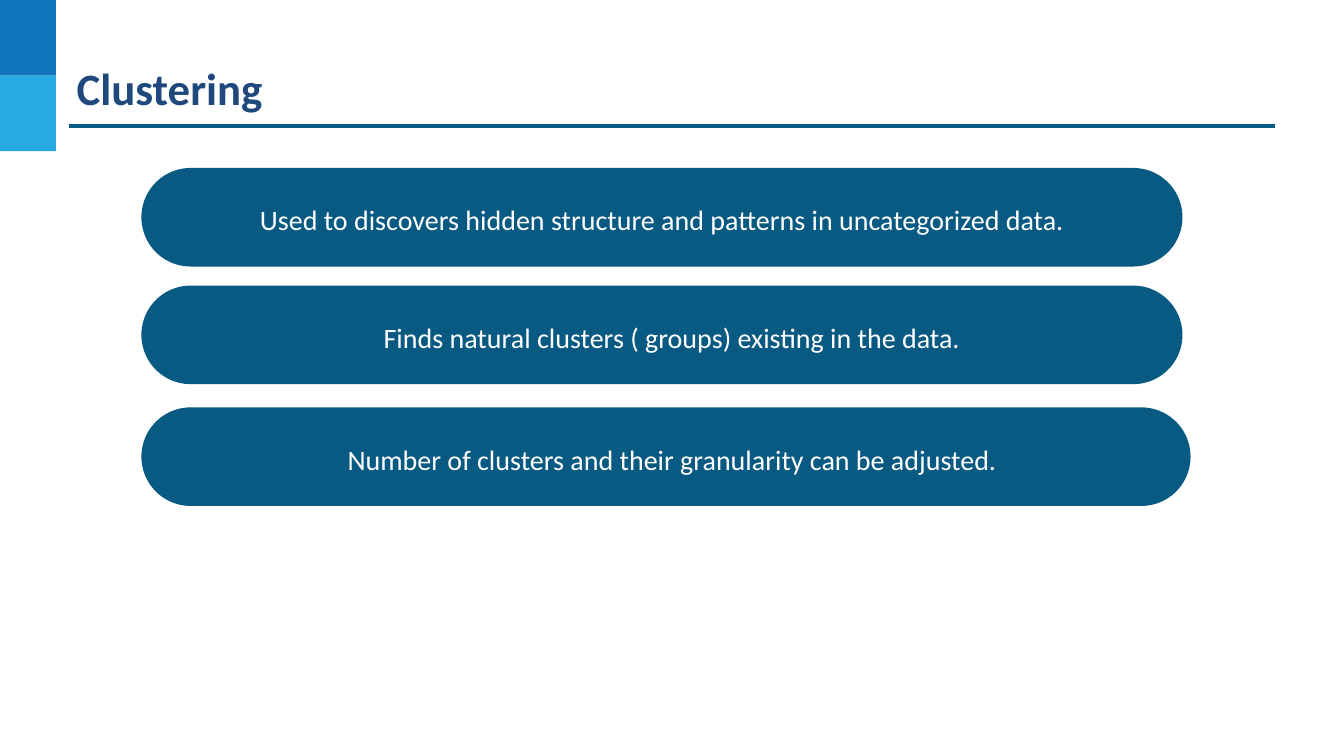
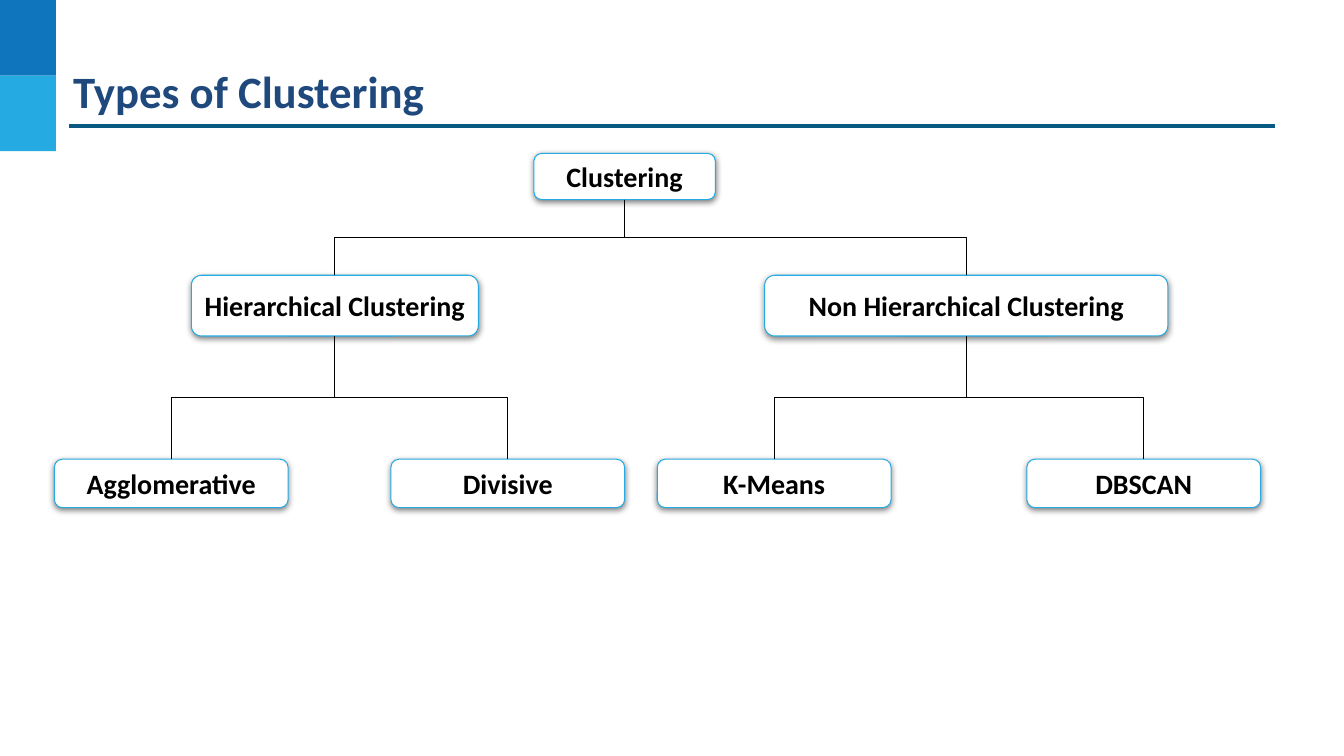
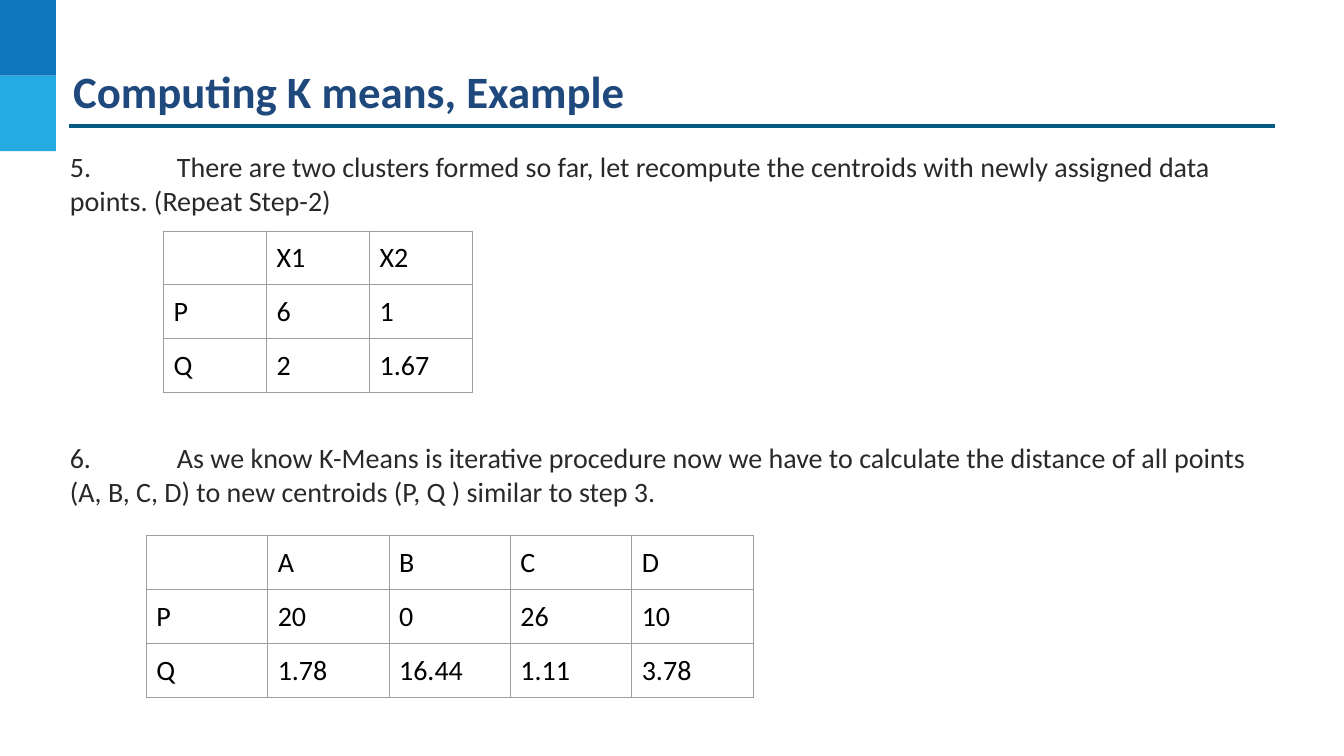
import dataclasses
from typing import Any

import lxml.etree
import pptx
import pptx.dml.color
import pptx.enum.shapes
import pptx.enum.text
import pptx.oxml
import pptx.oxml.ns
import pptx.util

Pt = pptx.util.Pt
RGB = pptx.dml.color.RGBColor.from_string
qn = pptx.oxml.ns.qn
Shapes = pptx.enum.shapes.MSO_SHAPE
Connectors = pptx.enum.shapes.MSO_CONNECTOR
Align = pptx.enum.text.PP_ALIGN
Anchor = pptx.enum.text.MSO_ANCHOR


@dataclasses.dataclass(frozen=True)
class Theme:
    font: str = "Calibri"
    title_size: float = 32
    body_size: float = 20
    title: str = "1F497D"
    band_dark: str = "0F75BD"
    band_light: str = "25AAE2"
    accent: str = "095A82"
    white: str = "FFFFFF"
    black: str = "000000"
    body: str = "292929"
    grid: str = "9E9E9E"


THEME = Theme()


@dataclasses.dataclass(frozen=True)
class Box:
    """A rectangle in points."""
    left: float
    top: float
    width: float
    height: float

    def lengths(self) -> tuple:
        return tuple(Pt(value) for value in dataclasses.astuple(self))


@dataclasses.dataclass(frozen=True)
class Pill:
    text: str
    top: float
    width: float = 743.6
    text_shift: float = 0


@dataclasses.dataclass(frozen=True)
class Node:
    text: str
    center: float
    top: float
    width: float
    height: float
    parent: str = ""


@dataclasses.dataclass(frozen=True)
class Step:
    text: str
    text_box: Box
    margin_top: float
    table_left: float
    table_top: float
    column_width: float
    rows: tuple


PILLS = (
    Pill("Used to discovers hidden structure and patterns in uncategorized data.", 120),
    Pill("Finds natural clusters ( groups) existing in the data.", 204, text_shift=7),
    Pill("Number of clusters and their granularity can be adjusted.", 291, 749.4, 4.4),
)

LEAF = {"top": 328, "width": 167, "height": 34.6}
BRANCH = {"top": 196.6, "height": 43.4, "parent": "Clustering"}
NODES = (
    Node("Clustering", 446.2, 109.6, 129.6, 33),
    Node("Hierarchical Clustering", 239.2, width=205, **BRANCH),
    Node("Non Hierarchical Clustering", 690.2, width=288, **BRANCH),
    Node("Agglomerative", 122.3, parent="Hierarchical Clustering", **LEAF),
    Node("Divisive", 362.7, parent="Hierarchical Clustering", **LEAF),
    Node("K-Means", 553, parent="Non Hierarchical Clustering", **LEAF),
    Node("DBSCAN", 817, parent="Non Hierarchical Clustering", **LEAF),
)

STEPS = (
    Step("5.\t There are two clusters formed so far, let recompute the centroids "
         "with newly assigned data points. (Repeat Step-2)",
         Box(42.8, 103.3, 866, 55.4), 3.6, 116.8, 165, 73.6,
         (("", "X1", "X2"), ("P", "6", "1"), ("Q", "2", "1.67"))),
    Step("6.\t As we know K-Means is iterative procedure now we have to calculate the "
         "distance of all points (A, B, C, D) to new centroids (P, Q ) similar to step 3.",
         Box(42.8, 307.4, 859, 63.4), 7.2, 104.5, 382.7, 86.7,
         (("", "A", "B", "C", "D"), ("P", "20", "0", "26", "10"),
          ("Q", "1.78", "16.44", "1.11", "3.78"))),
)


def set_all(target: Any, values: dict) -> None:
    for name, value in values.items():
        setattr(target, name, value)


def write(frame: Any, text: str, color: str, size: float = THEME.body_size,
          bold: bool = False, align: Any = Align.LEFT, tab: float = 0,
          **frame_format: Any) -> Any:
    """Fill a text frame with one formatted paragraph and return it."""
    set_all(frame, {"word_wrap": True, **frame_format})
    paragraph = frame.paragraphs[0]
    paragraph.text = text
    paragraph.alignment = align
    if tab:
        stops = lxml.etree.SubElement(paragraph._p.get_or_add_pPr(), qn("a:tabLst"))
        lxml.etree.SubElement(stops, qn("a:tab"), pos=str(Pt(tab)), algn="l")
    set_all(paragraph.font, {"name": THEME.font, "size": Pt(size), "bold": bold})
    paragraph.font.color.rgb = RGB(color)
    return paragraph


def margins(side: float, top: float) -> dict:
    return {"margin_left": Pt(side), "margin_right": Pt(side),
            "margin_top": Pt(top), "margin_bottom": Pt(top)}


def add_box(slide: Any, kind: Any, box: Box, fill: str, line: str = "") -> Any:
    shape = slide.shapes.add_shape(kind, *box.lengths())
    shape.shadow.inherit = False
    shape.fill.solid()
    shape.fill.fore_color.rgb = RGB(fill)
    if line:
        shape.line.color.rgb = RGB(line)
        shape.line.width = Pt(0.75)
    else:
        shape.line.fill.background()
    return shape


def style_connector(connector: Any, color: str, width: float) -> None:
    connector.line.color.rgb = RGB(color)
    connector.line.width = Pt(width)
    lxml.etree.SubElement(connector.element.spPr, qn("a:effectLst"))


def decorate_layout(layout: Any, slide: Any) -> None:
    """Draw the shared bands and title rule, and store them in the layout."""
    for placeholder in list(layout.placeholders):
        if placeholder.placeholder_format.idx:
            layout.shapes.element.remove(placeholder.element)
    side = 54
    bands = [add_box(slide, Shapes.RECTANGLE, Box(0, index * side, 40, side), color)
             for index, color in enumerate((THEME.band_dark, THEME.band_light))]
    rule = slide.shapes.add_connector(Connectors.STRAIGHT, Pt(49.3), Pt(90), Pt(910.7), Pt(90))
    style_connector(rule, THEME.accent, 2.25)
    for shape in (*bands, rule):
        layout.shapes.element.append(shape.element)


def add_slide(presentation: Any, layout: Any, title: str, left: float = 50.4, top: float = 44) -> Any:
    slide = presentation.slides.add_slide(layout)
    holder = slide.shapes.title
    set_all(holder, dict(zip(("left", "top", "width", "height"),
                             Box(left, top, 862, 42).lengths())))
    write(holder.text_frame, title, THEME.title, THEME.title_size, True,
          vertical_anchor=Anchor.TOP, auto_size=pptx.enum.text.MSO_AUTO_SIZE.NONE,
          **margins(1.8, 1.8))
    return slide


def add_pill(slide: Any, pill: Pill) -> None:
    shape = add_box(slide, Shapes.ROUNDED_RECTANGLE,
                    Box(101, pill.top, pill.width, 70.4), THEME.accent)
    shape.adjustments[0] = 0.5
    paragraph = write(shape.text_frame, pill.text, THEME.white, align=Align.CENTER,
                      vertical_anchor=Anchor.MIDDLE, **margins(7.2, 7.2))
    paragraph.line_spacing = 1.15
    shape.text_frame.margin_left = Pt(7.2 + 2 * pill.text_shift)


def add_node(slide: Any, node: Node) -> Any:
    box = Box(node.center - node.width / 2, node.top, node.width, node.height)
    shape = add_box(slide, Shapes.ROUNDED_RECTANGLE, box, THEME.white, THEME.band_light)
    effects = shape.element.spPr.find(qn("a:effectLst"))
    shadow = lxml.etree.SubElement(effects, qn("a:outerShdw"), blurRad=str(Pt(4.5)),
                                   dist=str(Pt(1.5)), dir="5400000", algn="bl", rotWithShape="0")
    color = lxml.etree.SubElement(shadow, qn("a:srgbClr"), val=THEME.black)
    lxml.etree.SubElement(color, qn("a:alpha"), val="49000")
    write(shape.text_frame, node.text, THEME.black, bold=True, align=Align.CENTER,
          vertical_anchor=Anchor.MIDDLE, **margins(3, 3))
    return shape


def add_branch(slide: Any, parent: Any, child: Any) -> None:
    """Join parent bottom to child top by an elbow that leaves vertically."""
    connector = slide.shapes.add_connector(Connectors.ELBOW, 0, 0, 0, 0)
    connector.begin_connect(parent, 2)
    connector.end_connect(child, 0)
    start_x = parent.left + parent.width // 2
    end_x = child.left + child.width // 2
    start_y = parent.top + parent.height
    rise, run = child.top - start_y, abs(end_x - start_x)
    set_all(connector, {"left": (start_x + end_x - rise) // 2,
                        "top": start_y + (rise - run) // 2,
                        "width": rise, "height": run})
    rightward = end_x > start_x
    transform = connector.element.spPr.find(qn("a:xfrm"))
    transform.set("rot", "16200000" if rightward else "5400000")
    transform.set("flipH", "1" if rightward else "0")
    style_connector(connector, THEME.black, 0.75)


def add_borders(cell: Any) -> None:
    properties = cell._tc.get_or_add_tcPr()
    for index, side in enumerate(("lnL", "lnR", "lnT", "lnB")):
        line = pptx.oxml.parse_xml(
            f'<a:{side} {pptx.oxml.ns.nsdecls("a")} w="{Pt(0.75)}"><a:solidFill>'
            f'<a:srgbClr val="{THEME.grid}"/></a:solidFill></a:{side}>')
        properties.insert(index, line)


def add_step(slide: Any, step: Step) -> None:
    text_box = slide.shapes.add_textbox(*step.text_box.lengths())
    write(text_box.text_frame, step.text, THEME.body, tab=72, **margins(7.2, step.margin_top))
    row_height, count = 38.5, len(step.rows[0])
    box = Box(step.table_left, step.table_top, step.column_width * count,
              row_height * len(step.rows))
    table = slide.shapes.add_table(len(step.rows), count, *box.lengths()).table
    set_all(table, {"first_row": False, "horz_banding": False})
    for column in table.columns:
        column.width = Pt(step.column_width)
    for row, values in zip(table.rows, step.rows):
        row.height = Pt(row_height)
        for cell, value in zip(row.cells, values):
            set_all(cell, margins(7.2, 7.2))
            cell.fill.background()
            add_borders(cell)
            write(cell.text_frame, value, THEME.black)


def main() -> None:
    presentation = pptx.Presentation()
    set_all(presentation, {"slide_width": Pt(960), "slide_height": Pt(540)})
    layout = presentation.slide_layouts[5]

    overview = add_slide(presentation, layout, "Clustering", 52.9, 41.8)
    decorate_layout(layout, overview)
    for pill in PILLS:
        add_pill(overview, pill)

    types = add_slide(presentation, layout, "Types of Clustering")
    shapes = {node.text: add_node(types, node) for node in NODES}
    for node in NODES:
        if node.parent:
            add_branch(types, shapes[node.parent], shapes[node.text])

    example = add_slide(presentation, layout, "Computing K means, Example")
    for step in STEPS:
        add_step(example, step)

    presentation.save("out.pptx")


if __name__ == "__main__":
    main()
